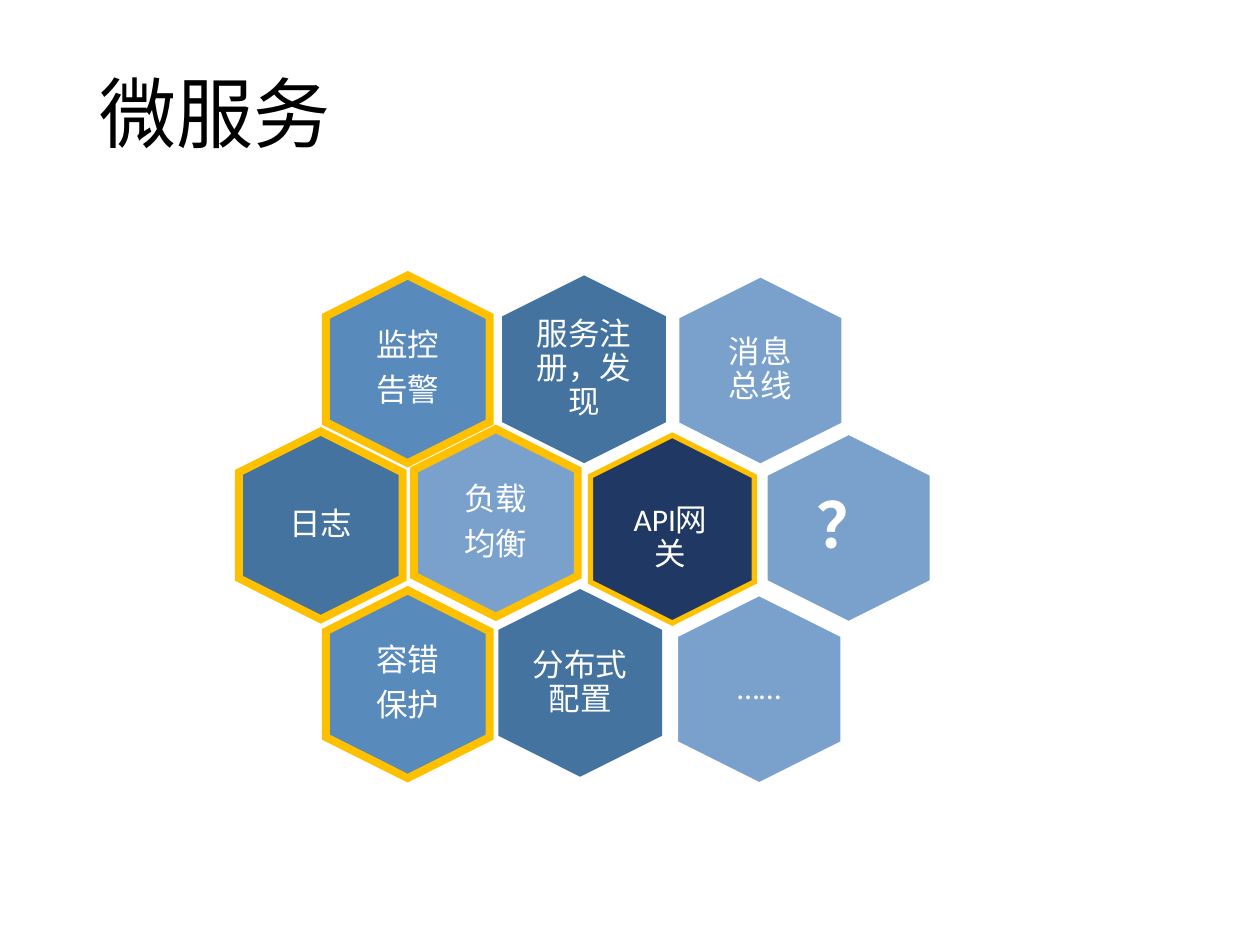
"""Build the slide 微服务: a honeycomb of microservice building blocks."""
from lxml import etree
from pptx import Presentation
from pptx.dml.color import RGBColor
from pptx.enum import shapes, text
from pptx.oxml import ns
from pptx.util import Pt

STEEL, BLUE, SKY, NAVY = "43739E", "588ABB", "7AA1CC", "203864"
GOLD, WHITE, BLACK = "FFC000", "FFFFFF", "000000"
HEX_W, HEX_H = 107.3, 93.6
LABEL_W, LABEL_H = 64, 74.2
PITCH = 100.8
FIRST_LEFT = 179.3

ROWS = [
    (FIRST_LEFT, 164.2, [
        dict(words=["监控", "告警"], fill=BLUE, border=(GOLD, 4.5), inset=0),
        dict(words=["服务注册，发现"], fill=STEEL),
        dict(words=["消息总线"], fill=SKY, border=(WHITE, 1), inset=7.2, nudge=(0, 0.7)),
    ]),
    (FIRST_LEFT - PITCH / 2, 252, [
        dict(words=["日志"], fill=STEEL, border=(GOLD, 4.5), nudge=(0.7, 1.4)),
        dict(words=["负载", "均衡"], fill=SKY, border=(GOLD, 4.5)),
        dict(words=["API网关"], fill=NAVY, border=(GOLD, 3), inset=7.2,
             nudge=(0, 3.6), label=(-1, 5, 62, 63.4)),
        dict(words=["？"], fill=SKY, border=(WHITE, 1), inset=7.2,
             nudge=(0, 2.9), label=(-0.5, 0, LABEL_W, LABEL_H), size=36, bold=True),
    ]),
    (FIRST_LEFT, 344.2, [
        dict(words=["容错", "保护"], fill=BLUE, border=(GOLD, 4.5), inset=0),
        dict(words=["分布式配置"], fill=STEEL, nudge=(-2.2, -0.8)),
        dict(words=["……"], fill=SKY, border=(WHITE, 1), inset=7.2, nudge=(-0.7, 2.8)),
    ]),
]


def rgb(value):
    """Turn a hex string into a colour."""
    return RGBColor.from_string(value)


def apply(target, values):
    """Set every attribute named in values on target."""
    for name, value in values.items():
        setattr(target, name, value)


class Deck:
    """Hold the style and the current slide."""

    font = "Calibri"

    def __init__(self):
        """Open a 10 by 7.5 inch deck with one title-only slide."""
        self.deck = Presentation()
        apply(self.deck, dict(slide_width=Pt(720), slide_height=Pt(540)))
        self.slide = self.deck.slides.add_slide(self.deck.slide_layouts[5])

    def paragraph(self, paragraph, words, size, color, align, after=0, bold=False):
        """Fill one paragraph with formatted words."""
        apply(paragraph, dict(alignment=align, line_spacing=0.9, space_after=Pt(after)))
        run = paragraph.add_run()
        run.text = words
        apply(run.font, dict(name=self.font, size=Pt(size), bold=bold))
        run.font.color.rgb = rgb(color)

    def title(self, words):
        """Place and format the title."""
        heading = self.slide.shapes.title
        apply(heading, dict(left=Pt(49.5), top=Pt(28.75), width=Pt(621), height=Pt(77)))
        apply(heading.text_frame, dict(auto_size=text.MSO_AUTO_SIZE.NONE, word_wrap=True,
                                       vertical_anchor=text.MSO_ANCHOR.MIDDLE))
        self.paragraph(heading.text_frame.paragraphs[0], words, 44, BLACK, text.PP_ALIGN.LEFT)

    def hexagon(self, group, left, top, fill, border):
        """Draw an upright hexagon."""
        cell = group.shapes.add_shape(shapes.MSO_SHAPE.HEXAGON,
                                      Pt(left), Pt(top), Pt(HEX_W), Pt(HEX_H))
        cell.rotation = 90
        cell.shadow.inherit = False
        cell.adjustments[0], cell.adjustments[1] = 0.25, 1.1547
        cell.fill.solid()
        cell.fill.fore_color.rgb = rgb(fill)
        if border is None:
            cell.line.fill.background()
            return
        color, width = border
        cell.line.color.rgb = rgb(color)
        cell.line.width = Pt(width)
        outline = cell.line._get_or_add_ln()
        etree.SubElement(outline, ns.qn("a:miter"), lim="800000")

    def label(self, group, center, box, words, inset, size, bold):
        """Write centred words around the given centre."""
        dx, dy, width, height = box
        left, top = center[0] + dx - width / 2, center[1] + dy - height / 2
        frame = group.shapes.add_textbox(Pt(left), Pt(top), Pt(width), Pt(height)).text_frame
        apply(frame, dict(word_wrap=True, vertical_anchor=text.MSO_ANCHOR.MIDDLE))
        apply(frame, {f"margin_{side}": Pt(inset) for side in ("left", "right", "top", "bottom")})
        for number, line in enumerate(words):
            paragraph = frame.add_paragraph() if number else frame.paragraphs[0]
            self.paragraph(paragraph, line, size, WHITE, text.PP_ALIGN.CENTER, 0.35 * size, bold)

    def service(self, left, top, words, fill, border=None, inset=3.6, nudge=(0, 0),
                label=(0, 0, LABEL_W, LABEL_H), size=18, bold=False):
        """Group a hexagon with its label."""
        left, top = left + nudge[0], top + nudge[1]
        group = self.slide.shapes.add_group_shape()
        self.hexagon(group, left, top, fill, border)
        center = left + HEX_W / 2, top + HEX_H / 2
        self.label(group, center, label, words, inset, size, bold)


def main():
    """Build and save the slide."""
    deck = Deck()
    deck.title("微服务")
    for left, top, services in ROWS:
        for column, service in enumerate(services):
            deck.service(left + column * PITCH, top, **service)
    deck.deck.save("out.pptx")


if __name__ == "__main__":
    main()
